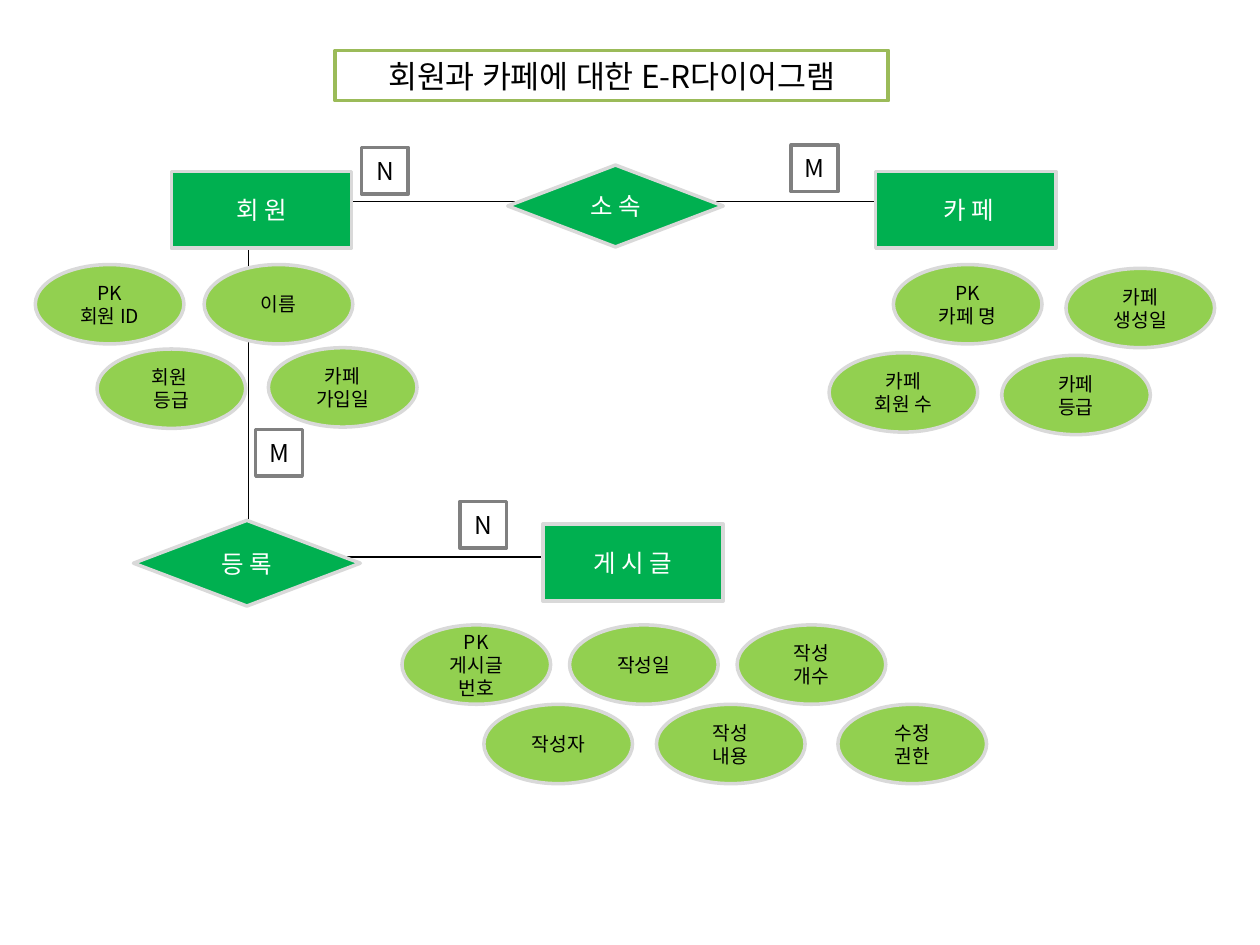
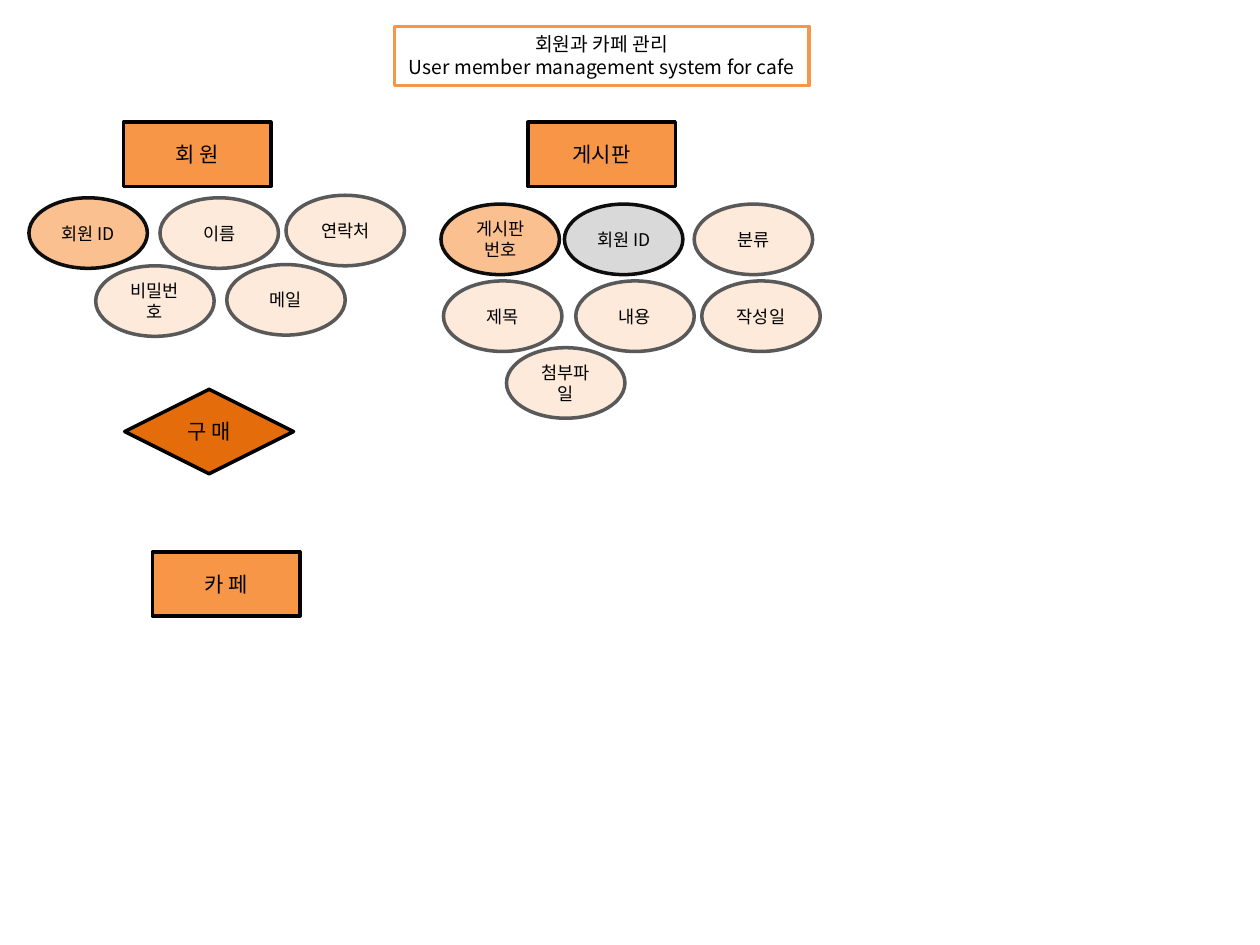
from dataclasses import dataclass
from typing import NamedTuple

from lxml.etree import SubElement
from pptx import Presentation
from pptx.dml.color import RGBColor
from pptx.enum.shapes import MSO_CONNECTOR, MSO_SHAPE
from pptx.enum.text import MSO_ANCHOR, MSO_AUTO_SIZE, PP_ALIGN
from pptx.oxml.ns import qn
from pptx.slide import Slide
from pptx.util import Inches, Pt

FONT = "Noto Sans CJK KR"
BLACK, WHITE = "000000", "FFFFFF"
GREEN, LIME, OLIVE = "00B050", "92D050", "9BBB59"
SILVER, GRAY, DARK_GRAY, NEAR_BLACK = "D9D9D9", "808080", "595959", "0D0D0D"
ORANGE, DEEP_ORANGE, PEACH, CREAM = "F79646", "E46C0A", "FAC090", "FDEADA"
BORDER = Pt(2)


@dataclass(frozen=True)
class Style:
    """The look and size shared by one kind of diagram node."""
    kind: MSO_SHAPE
    width: float
    height: float
    fill: str
    border: str
    size: float
    color: str = BLACK
    is_title: bool = False


class Node(NamedTuple):
    style: Style
    left: float
    top: float
    text: str


class Link(NamedTuple):
    start: tuple[float, float]
    end: tuple[float, float]


def rgb(value: str) -> RGBColor:
    return RGBColor.from_string(value)


def set_values(target: object, values: dict) -> None:
    for name, value in values.items():
        setattr(target, name, value)


def draw_link(page: Slide, link: Link) -> None:
    line = page.shapes.add_connector(
        MSO_CONNECTOR.STRAIGHT, *(Inches(n) for n in link.start + link.end))
    line.line.color.rgb = rgb(BLACK)
    line.line.width = Pt(0.75)
    SubElement(line._element.spPr, qn("a:effectLst"))


def draw_node(page: Slide, node: Node) -> None:
    style = node.style
    box = page.shapes.add_shape(
        style.kind, Inches(node.left), Inches(node.top),
        Inches(style.width), Inches(style.height))
    box.shadow.inherit = False
    box.fill.solid()
    box.fill.fore_color.rgb = rgb(style.fill)
    box.line.color.rgb = rgb(style.border)
    box.line.width = BORDER

    frame = box.text_frame
    set_values(frame, {
        "word_wrap": True,
        "vertical_anchor": MSO_ANCHOR.TOP if style.is_title else MSO_ANCHOR.MIDDLE,
        "auto_size": (MSO_AUTO_SIZE.SHAPE_TO_FIT_TEXT if style.is_title
                      else MSO_AUTO_SIZE.NONE),
    })
    for index, text in enumerate(node.text.split("\n")):
        para = frame.add_paragraph() if index else frame.paragraphs[0]
        para.alignment = PP_ALIGN.CENTER
        span = para.add_run()
        span.text = text
        set_values(span.font, {"name": FONT, "size": Pt(style.size)})
        span.font.color.rgb = rgb(style.color)
        # Hangul takes its typeface from the East Asian font
        SubElement(span.font._element, qn("a:ea"), typeface=FONT)


def draw_page(deck: Presentation, links: list[Link], nodes: list[Node]) -> None:
    page = deck.slides.add_slide(deck.slide_layouts[6])
    for link in links:
        draw_link(page, link)
    for node in nodes:
        draw_node(page, node)


# Node styles of the green E-R diagram
RECT, OVAL, DIAMOND = MSO_SHAPE.RECTANGLE, MSO_SHAPE.OVAL, MSO_SHAPE.DIAMOND
er_title = Style(RECT, 4.39, 0.4, WHITE, OLIVE, 18, is_title=True)
er_entity = Style(RECT, 1.43, 0.61, GREEN, SILVER, 14, WHITE)
er_belongs = Style(DIAMOND, 1.71, 0.65, GREEN, SILVER, 14, WHITE)
er_registers = Style(DIAMOND, 1.8, 0.68, GREEN, SILVER, 14, WHITE)
er_attribute = Style(OVAL, 1.18, 0.63, LIME, SILVER, 11)
cardinality = Style(RECT, 0.37, 0.37, WHITE, GRAY, 14)

# Node styles of the orange management diagram
cafe_title = Style(RECT, 3.29, 0.47, WHITE, ORANGE, 11, is_title=True)
cafe_entity = Style(RECT, 1.17, 0.51, ORANGE, BLACK, 12)
cafe_relation = Style(DIAMOND, 1.34, 0.67, DEEP_ORANGE, BLACK, 12)
cafe_attribute = Style(OVAL, 0.94, 0.56, CREAM, DARK_GRAY, 10)
cafe_key = Style(OVAL, 0.94, 0.56, PEACH, NEAR_BLACK, 10)
cafe_foreign_key = Style(OVAL, 0.94, 0.56, SILVER, NEAR_BLACK, 10)

er_links = [
    Link((2.51, 4.42), (4.76, 4.42)),
    Link((1.97, 1.96), (1.97, 4.62)),
    Link((2.13, 1.6), (7.67, 1.6)),
]
er_nodes = [
    Node(er_title, 2.66, 0.4, "회원과 카페에 대한 E-R다이어그램"),
    # Entities and relations
    Node(er_entity, 1.36, 1.36, "회 원"),
    Node(er_belongs, 4.03, 1.31, "소 속"),
    Node(er_entity, 6.95, 1.36, " 카 페"),
    Node(er_registers, 1.06, 4.13, "등 록"),
    Node(er_entity, 4.31, 4.16, "게 시 글"),
    # Member attributes
    Node(er_attribute, 0.28, 2.1, "PK\n회원 ID"),
    Node(er_attribute, 1.62, 2.1, "이름"),
    Node(er_attribute, 2.13, 2.76, "카페\n가입일"),
    Node(er_attribute, 0.77, 2.77, "회원 \n등급"),
    # Cafe attributes
    Node(er_attribute, 7.09, 2.1, "PK\n카페 명"),
    Node(er_attribute, 6.58, 2.8, "카페\n회원 수"),
    Node(er_attribute, 8.46, 2.13, "카페\n생성일"),
    Node(er_attribute, 7.95, 2.82, "카페\n등급"),
    # Post attributes: an evenly spaced row above a looser one
    *(Node(er_attribute, 3.19 + 1.33 * column, 4.96, text)
      for column, text in enumerate(["PK\n게시글\n번호", "작성일", "작성\n개수"])),
    Node(er_attribute, 3.84, 5.59, "작성자"),
    Node(er_attribute, 5.21, 5.59, "작성\n내용"),
    Node(er_attribute, 6.65, 5.59, "수정\n권한"),
    # Cardinalities
    Node(cardinality, 6.28, 1.15, "M"),
    Node(cardinality, 2.87, 1.17, "N"),
    Node(cardinality, 2.03, 3.41, "M"),
    Node(cardinality, 3.65, 3.98, "N"),
]

cafe_nodes = [
    Node(cafe_title, 3.13, 0.21,
         "회원과 카페 관리\nUser member management system for cafe"),
    # Entities and relation
    Node(cafe_entity, 0.98, 0.97, "회 원"),
    Node(cafe_entity, 4.19, 0.97, "게시판"),
    Node(cafe_relation, 0.99, 3.09, "구 매"),
    Node(cafe_entity, 1.21, 4.38, "카 페"),
    # Member attributes
    Node(cafe_key, 0.23, 1.57, "회원 ID"),
    Node(cafe_attribute, 1.27, 1.57, "이름"),
    Node(cafe_attribute, 2.27, 1.55, "연락처"),
    Node(cafe_attribute, 0.76, 2.11, "비밀번호"),
    Node(cafe_attribute, 1.8, 2.1, "메일"),
    # Board attributes
    Node(cafe_key, 3.5, 1.62, "게시판번호"),
    Node(cafe_foreign_key, 4.48, 1.62, "회원 ID"),
    Node(cafe_attribute, 5.51, 1.62, "분류"),
    Node(cafe_attribute, 3.52, 2.23, "제목"),
    Node(cafe_attribute, 4.57, 2.23, "내용"),
    Node(cafe_attribute, 5.57, 2.23, "작성일"),
    Node(cafe_attribute, 4.02, 2.76, "첨부파일"),
]

deck = Presentation()
set_values(deck, {"slide_width": Inches(10), "slide_height": Inches(7.5)})
draw_page(deck, er_links, er_nodes)
draw_page(deck, [], cafe_nodes)
deck.save("out.pptx")
